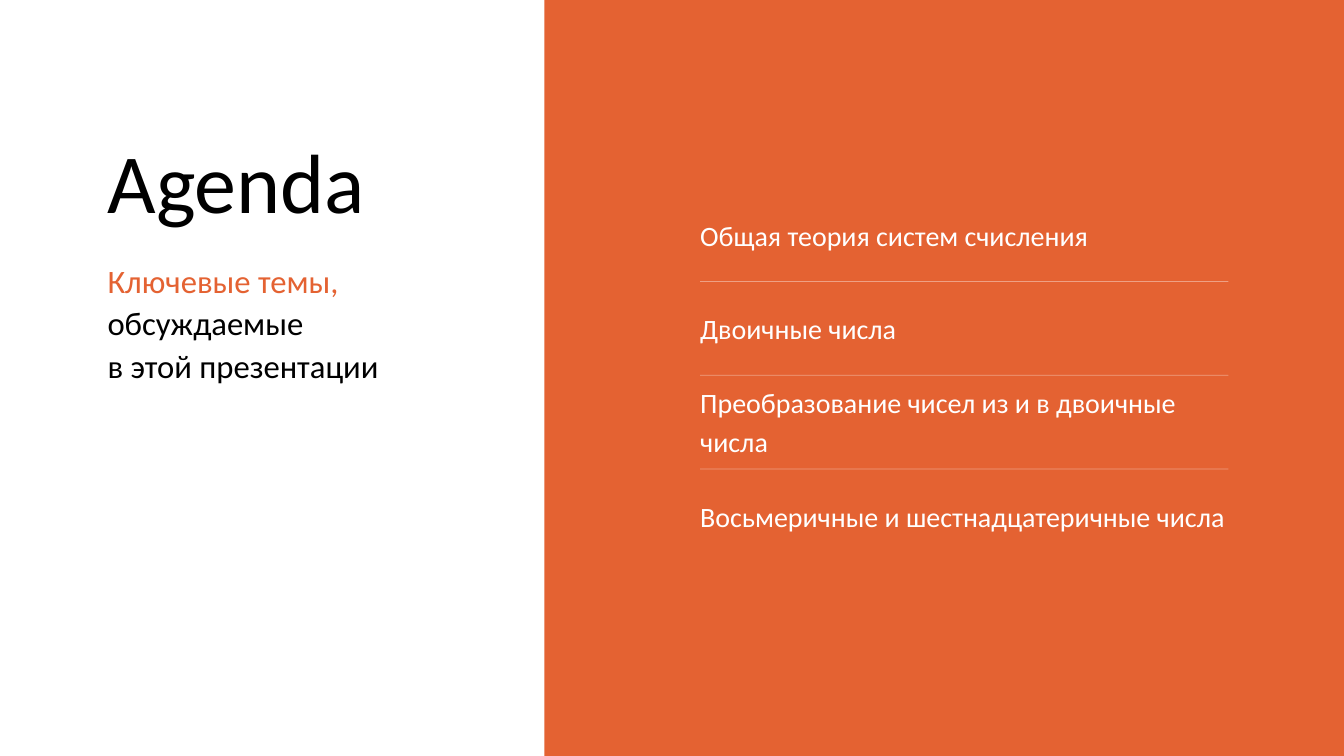
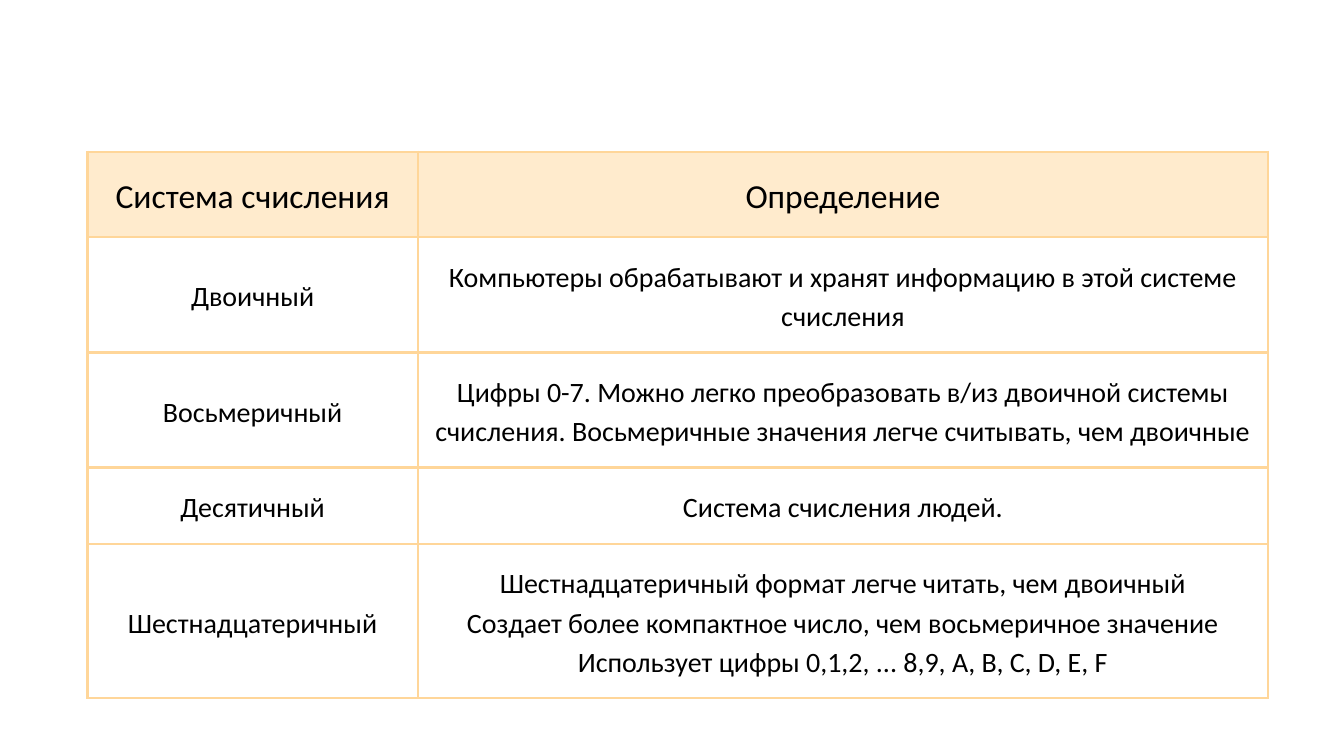
from dataclasses import dataclass

from lxml.etree import SubElement
from pptx import Presentation
from pptx.dml.color import RGBColor
from pptx.enum.shapes import MSO_CONNECTOR as Connector, MSO_SHAPE as Shape
from pptx.enum.text import MSO_ANCHOR as Anchor, MSO_AUTO_SIZE as AutoSize, PP_ALIGN as Align
from pptx.oxml import parse_xml
from pptx.oxml.ns import nsdecls, qn
from pptx.util import Inches, Pt

WIDTH, HEIGHT = 20, 11.25
COLUMN, ROW = Inches(WIDTH / 40), Inches(HEIGHT / 45)
FONT = "Calibri"
BLACK, WHITE, ORANGE = "000000", "FFFFFF", "E46232"
HEADER_FILL, BORDER = "FFEBCD", "FFD699"
TOPICS = [
    ("Общая теория систем счисления", 1),
    ("Двоичные числа", 1),
    ("Преобразование чисел из и в двоичные числа", 2),
    ("Восьмеричные и шестнадцатеричные числа", 1),
]
SYSTEMS = [
    ("Двоичный", ["Компьютеры обрабатывают и хранят информацию в этой системе счисления"], 2),
    ("Восьмеричный", ["Цифры 0-7. Можно легко преобразовать в/из двоичной системы счисления. "
                      "Восьмеричные значения легче считывать, чем двоичные"], 2),
    ("Десятичный", ["Система счисления людей."], 1),
    ("Шестнадцатеричный", ["Шестнадцатеричный формат легче читать, чем двоичный",
                           "Создает более компактное число, чем восьмеричное значение",
                           "Использует цифры 0,1,2, ... 8,9, A, B, C, D, E, F"], 3),
]


@dataclass
class Area:
    """A region of the slide, measured in grid columns and rows."""
    left: float
    top: float
    width: float
    height: float

    def inner(self, left, top, width, height):
        """Return a region placed relative to this one."""
        return Area(self.left + left, self.top + top, width, height)

    def lengths(self):
        """Return left, top, width and height as slide lengths."""
        return (round(self.left * COLUMN), round(self.top * ROW),
                round(self.width * COLUMN), round(self.height * ROW))


def color(value):
    """Turn a hex string into a colour."""
    return RGBColor.from_string(value)


def write(frame, lines, size, leading, align=Align.LEFT):
    """Fill a text frame with paragraphs given as lists of (text, colour) runs."""
    for index, spans in enumerate(lines):
        para = frame.add_paragraph() if index else frame.paragraphs[0]
        para.alignment = align
        para.line_spacing = Pt(leading)
        para.space_before = para.space_after = Pt(0)
        for text, shade in spans:
            span = para.add_run()
            span.text = text
            span.font.name = FONT
            span.font.size = Pt(size)
            span.font.color.rgb = color(shade)


def prepare(box, area):
    """Place a text shape and remove its insets and automatic sizing."""
    box.left, box.top, box.width, box.height = area.lengths()
    frame = box.text_frame
    frame.word_wrap = True
    frame.auto_size = AutoSize.NONE
    frame.vertical_anchor = Anchor.TOP
    frame.margin_left = frame.margin_top = frame.margin_right = frame.margin_bottom = 0
    return frame


def add_heading(page, area):
    """Set the title and the subtitle below it."""
    title = prepare(page.shapes.title, area.inner(0, 0, area.width, 6))
    write(title, [[("Agenda", BLACK)]], 90, 108)
    subtitle = prepare(page.placeholders[1], area.inner(0, 7.64, area.width, 7.64))
    lines = [[("Ключевые темы, ", ORANGE), ("обсуждаемые", BLACK)],
             [("в этой презентации", BLACK)]]
    write(subtitle, lines, 35, 45.5)
    for para in subtitle.paragraphs:
        settings = para._p.get_or_add_pPr()
        settings.set("marL", "0")
        settings.set("indent", "0")
        SubElement(settings, qn("a:buNone"))


def add_rule(page, area):
    """Draw a thin translucent line along the top of an area."""
    left, top, width, _ = area.lengths()
    rule = page.shapes.add_connector(Connector.STRAIGHT, left, top, left + width, top)
    rule.line.color.rgb = color(WHITE)
    rule.line.width = Pt(0.75)
    shade = rule.line._ln.find(".//" + qn("a:srgbClr"))
    SubElement(shade, qn("a:alpha"), val="40000")
    SubElement(rule._element.spPr, qn("a:effectLst"))


def add_topics(page, area):
    """Draw the coloured panel with its evenly spaced topics."""
    panel = page.shapes.add_shape(Shape.RECTANGLE, *area.lengths())
    panel.shadow.inherit = False
    panel.fill.solid()
    panel.fill.fore_color.rgb = color(ORANGE)
    panel.line.fill.background()
    pitch, line_height = 5.58, 2.4
    for index, (topic, line_count) in enumerate(TOPICS):
        slot = area.inner(4.64, 11.18 + index * pitch, 15.72, pitch)
        height = line_count * line_height
        spot = slot.inner(0, 0.48 * pitch - height / 2, slot.width, height)
        frame = prepare(page.shapes.add_textbox(*spot.lengths()), spot)
        write(frame, [[(topic, WHITE)]], 30, 42)
        if index:
            add_rule(page, slot)


def format_cell(cell, lines, size, fill=None):
    """Write one centred table cell with its fill and borders."""
    cell.vertical_anchor = Anchor.MIDDLE
    cell.margin_left = cell.margin_right = cell.margin_top = cell.margin_bottom = Inches(0.21)
    write(cell.text_frame, [[(line, BLACK)] for line in lines], size, size * 1.4, Align.CENTER)
    if fill:
        cell.fill.solid()
        cell.fill.fore_color.rgb = color(fill)
    else:
        cell.fill.background()
    settings = cell._tc.get_or_add_tcPr()
    for position, side in enumerate("LRTB"):
        settings.insert(position, parse_xml(
            f'<a:ln{side} {nsdecls("a")} w="{Pt(3)}"><a:solidFill>'
            f'<a:srgbClr val="{BORDER}"/></a:solidFill></a:ln{side}>'))


def add_systems_table(page, area):
    """Build the table of numeral systems and their definitions."""
    table = page.shapes.add_table(len(SYSTEMS) + 1, 2, *area.lengths()).table
    table.first_row = table.horz_banding = False
    for column, share in zip(table.columns, (0.28, 0.72)):
        column.width = round(area.width * share * COLUMN)
    table.rows[0].height = round(5.08 * ROW)
    for cell, heading in zip(table.rows[0].cells, ("Система счисления", "Определение")):
        format_cell(cell, [heading], 36, HEADER_FILL)
    for index, (name, definition, line_count) in enumerate(SYSTEMS, 1):
        table.rows[index].height = round((2.2 + 2.33 * line_count) * ROW)
        format_cell(table.cell(index, 0), [name], 30)
        format_cell(table.cell(index, 1), definition, 30)


def main():
    """Build and save the deck."""
    deck = Presentation()
    deck.slide_width, deck.slide_height = Inches(WIDTH), Inches(HEIGHT)
    agenda = deck.slides.add_slide(deck.slide_layouts[1])
    add_heading(agenda, Area(3.2, 7.68, 10.12, 15.28))
    add_topics(agenda, Area(16.2, 0, 23.8, 45))
    systems = deck.slides.add_slide(deck.slide_layouts[6])
    add_systems_table(systems, Area(2.6, 9.04, 35.14, 32.56))
    deck.save("out.pptx")


if __name__ == "__main__":
    main()
